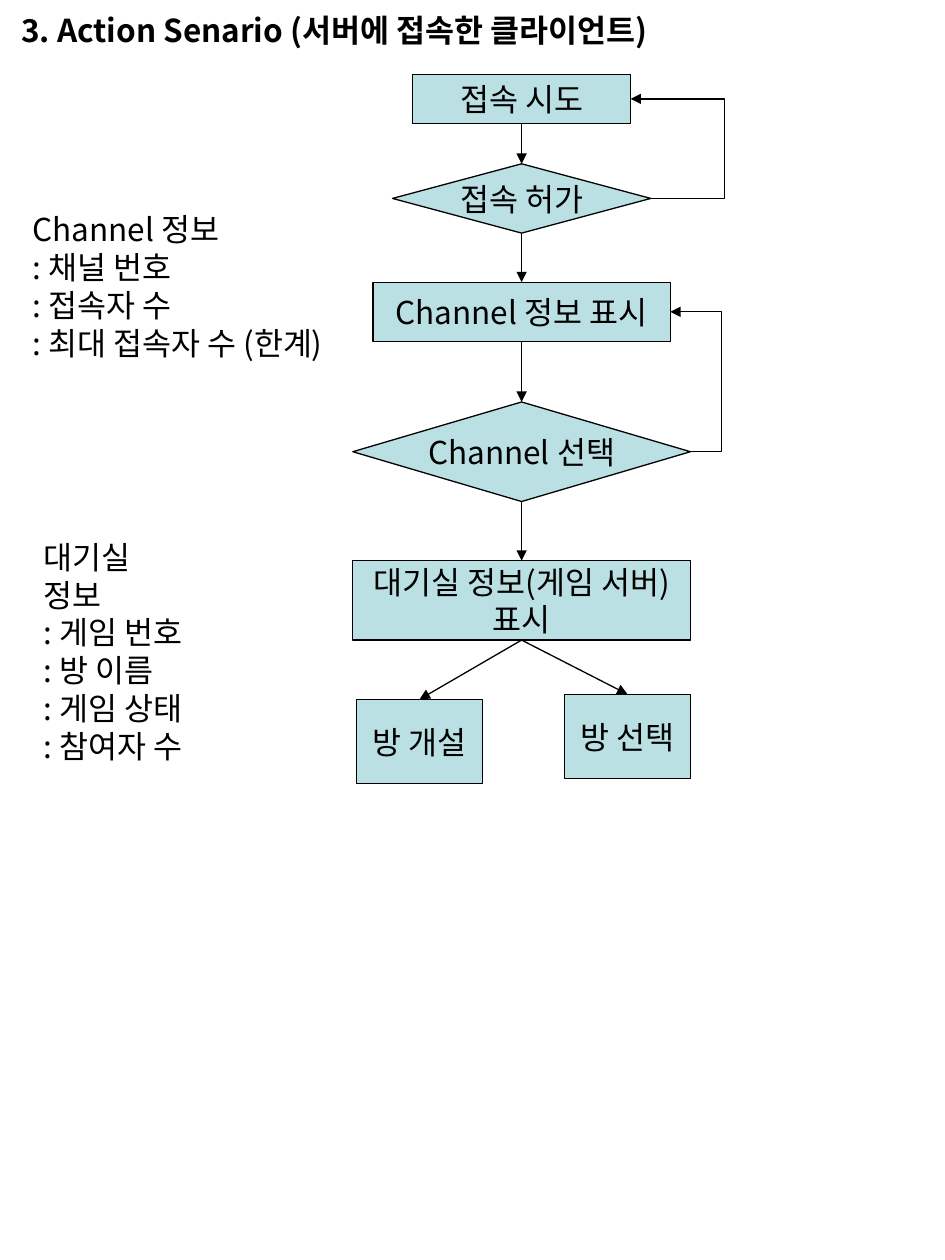
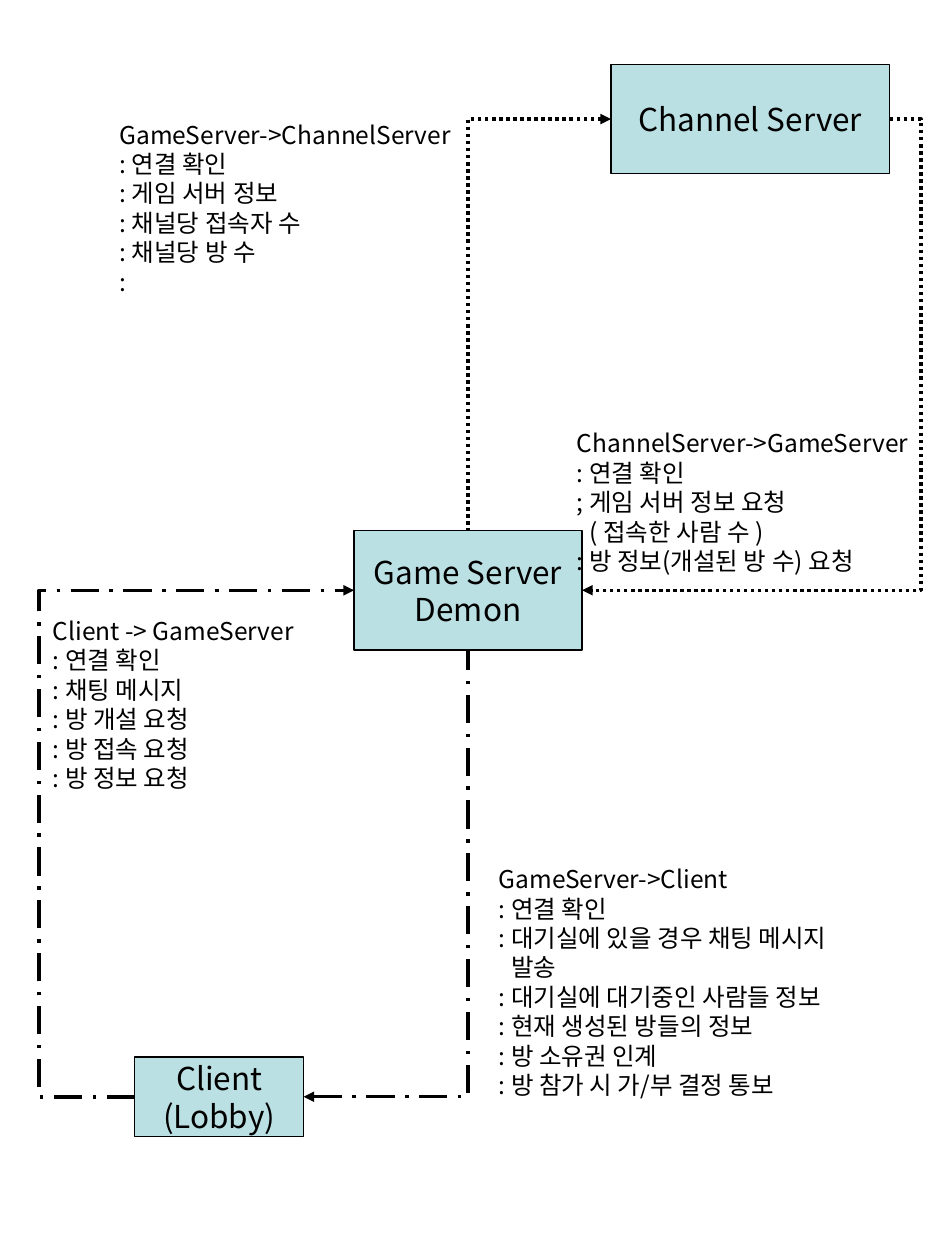
from pptx import Presentation
from pptx import util as u
from pptx.dml.color import RGBColor
from pptx.enum import dml, shapes, text
from pptx.oxml.ns import qn
from lxml import etree

FONT, INK, PAPER, FILL = "Noto Sans CJK KR", "000000", "FFFFFF", "BBE0E3"
TOP, LEFT, BOTTOM, RIGHT = range(4)  # connection sites
RECT = shapes.MSO_SHAPE.RECTANGLE
STEP = shapes.MSO_SHAPE.FLOWCHART_PROCESS
TEST = shapes.MSO_SHAPE.FLOWCHART_DECISION
DOT = dml.MSO_LINE.ROUND_DOT
DASH = dml.MSO_LINE.LONG_DASH_DOT
AXIS = 4.14  # centre of the flow on the first slide


def color(code):
    return RGBColor.from_string(code)


class Deck:
    def __init__(self):
        self.prs = Presentation()
        self.prs.slide_width, self.prs.slide_height = u.Inches(7.5), u.Inches(10)
        self.page = None

    def new(self):
        self.page = self.prs.slides.add_slide(self.prs.slide_layouts[6])
        fill = self.page.background.fill
        fill.solid()
        fill.fore_color.rgb = color(PAPER)

    def label(self, frame, lines, size, align, bold=False):
        frame.word_wrap = False
        frame.text = "\n".join(lines)
        for par in frame.paragraphs:
            par.alignment = align
            font = par.font
            font.name, font.size, font.bold = FONT, u.Pt(size), bold
            font.color.rgb = color(INK)
            props = par._p.pPr.find(qn("a:defRPr"))
            etree.SubElement(props, qn("a:ea"), typeface=FONT)

    def note(self, x, y, w, h, lines, size=18, bold=False, inset=None):
        """Free text; the line numbered inset is indented."""
        box = self.page.shapes.add_textbox(*map(u.Inches, (x, y, w, h)))
        frame = box.text_frame
        self.label(frame, lines, size, text.PP_ALIGN.LEFT, bold)
        frame.auto_size = text.MSO_AUTO_SIZE.SHAPE_TO_FIT_TEXT
        if inset is not None:
            frame.paragraphs[inset]._p.pPr.set("marL", str(u.Inches(0.1)))

    def box(self, kind, x, y, w, h, *lines):
        item = self.page.shapes.add_shape(kind, *map(u.Inches, (x, y, w, h)))
        item.shadow.inherit = False
        item.fill.solid()
        item.fill.fore_color.rgb = color(FILL)
        item.line.color.rgb = color(INK)
        item.line.width = u.Pt(0.75)
        frame = item.text_frame
        frame.vertical_anchor = text.MSO_ANCHOR.MIDDLE
        self.label(frame, lines, 18, text.PP_ALIGN.CENTER)
        return item

    def mid(self, kind, y, w, h, *lines):
        return self.box(kind, AXIS - w / 2, y, w, h, *lines)

    def link(self, start, out, end, into, form="line", via=None,
             width=0.75, dash=None, tip="tailEnd"):
        """Glued arrow; via is the x of a three-part bend's upright."""
        kind = shapes.MSO_CONNECTOR.STRAIGHT if form == "line" else shapes.MSO_CONNECTOR.ELBOW
        line = self.page.shapes.add_connector(kind, 0, 0, 0, 0)
        line.begin_connect(start, out)
        line.end_connect(end, into)
        line.line.color.rgb = color(INK)
        line.line.width = u.Pt(width)
        if dash:
            line.line.dash_style = dash
        props = line._element.spPr
        etree.SubElement(props.find(qn("a:ln")), qn("a:" + tip), type="triangle")
        etree.SubElement(props, qn("a:effectLst"))
        geom = props.find(qn("a:prstGeom"))
        geom.set("prst", form)
        if via is not None:
            part = (u.Inches(via) - line.begin_x) / (line.end_x - line.begin_x)
            etree.SubElement(geom.find(qn("a:avLst")), qn("a:gd"),
                             name="adj1", fmla=f"val {round(part * 100000)}")


def action(deck):
    deck.new()
    deck.note(0.07, 0.04, 5.36, 0.4,
              ["3. Action Senario (서버에 접속한 클라이언트)"], bold=True)

    # Main flow
    flow = [
        deck.mid(STEP, 0.59, 1.73, 0.39, "접속 시도"),
        deck.mid(TEST, 1.3, 2.05, 0.55, "접속 허가"),
        deck.mid(STEP, 2.24, 2.36, 0.47, "Channel 정보 표시"),
        deck.mid(TEST, 3.19, 2.68, 0.79, "Channel 선택"),
        deck.mid(STEP, 4.45, 2.68, 0.63, "대기실 정보(게임 서버)", "표시"),
    ]
    for above, below in zip(flow, flow[1:]):
        deck.link(above, BOTTOM, below, TOP)

    # Two ways on from the lobby
    for x, y, label in ((2.83, 5.55, "방 개설"), (4.48, 5.51, "방 선택")):
        room = deck.box(STEP, x, y, 1, 0.67, label)
        deck.link(flow[-1], BOTTOM, room, TOP)

    # Loops back after a failed test
    for test, via in ((1, 5.75), (3, 5.73)):
        deck.link(flow[test], RIGHT, flow[test - 1], RIGHT, "bentConnector3", via)

    # Side notes
    deck.note(0.16, 1.62, 2.8, 1.3, ["Channel 정보", ": 채널 번호", ": 접속자 수",
                                     ": 최대 접속자 수 (한계)"])
    deck.note(0.25, 4.22, 1.4, 1.6, ["대기실 정보", ": 게임 번호", ": 방 이름",
                                     ": 게임 상태", ": 참여자 수"])


def servers(deck):
    deck.new()
    client = deck.box(RECT, 1.07, 8.39, 1.34, 0.63, "Client", "(Lobby)")
    game = deck.box(STEP, 2.81, 4.21, 1.81, 0.95, "Game Server", "Demon")
    channel = deck.box(STEP, 4.85, 0.51, 2.21, 0.87, "Channel Server")

    # Messages; single bends start at the arrowhead
    deck.link(client, LEFT, game, LEFT, "bentConnector3", 0.31, 2, DASH)
    deck.link(channel, LEFT, game, TOP, "bentConnector2", None, 2, DOT, "headEnd")
    deck.link(channel, RIGHT, game, RIGHT, "bentConnector3", 7.31, 2, DOT)
    deck.link(client, RIGHT, game, BOTTOM, "bentConnector2", None, 2, DASH, "headEnd")

    # What each message holds
    deck.note(0.85, 0.9, 2.83, 1.5, [
        "GameServer->ChannelServer", ": 연결 확인", ": 게임 서버 정보",
        ": 채널당 접속자 수", ": 채널당 방 수", ":"], 14)
    deck.note(4.48, 3.35, 2.83, 1.27, [
        "ChannelServer->GameServer", ": 연결 확인", "; 게임 서버 정보 요청",
        "( 접속한 사람 수 )", ": 방 정보(개설된 방 수) 요청"], 14, inset=3)
    deck.note(3.86, 6.81, 2.9, 1.97, [
        "GameServer->Client", ": 연결 확인", ": 대기실에 있을 경우 채팅 메시지", "발송",
        ": 대기실에 대기중인 사람들 정보", ": 현재 생성된 방들의 정보",
        ": 방 소유권 인계", ": 방 참가 시 가/부 결정 통보"], 14, inset=3)
    deck.note(0.32, 4.84, 2.13, 1.5, [
        "Client -> GameServer", ": 연결 확인", ": 채팅 메시지",
        ": 방 개설 요청", ": 방 접속 요청", ": 방 정보 요청"], 14)


def main():
    deck = Deck()
    action(deck)
    servers(deck)
    deck.prs.save("out.pptx")


if __name__ == "__main__":
    main()
